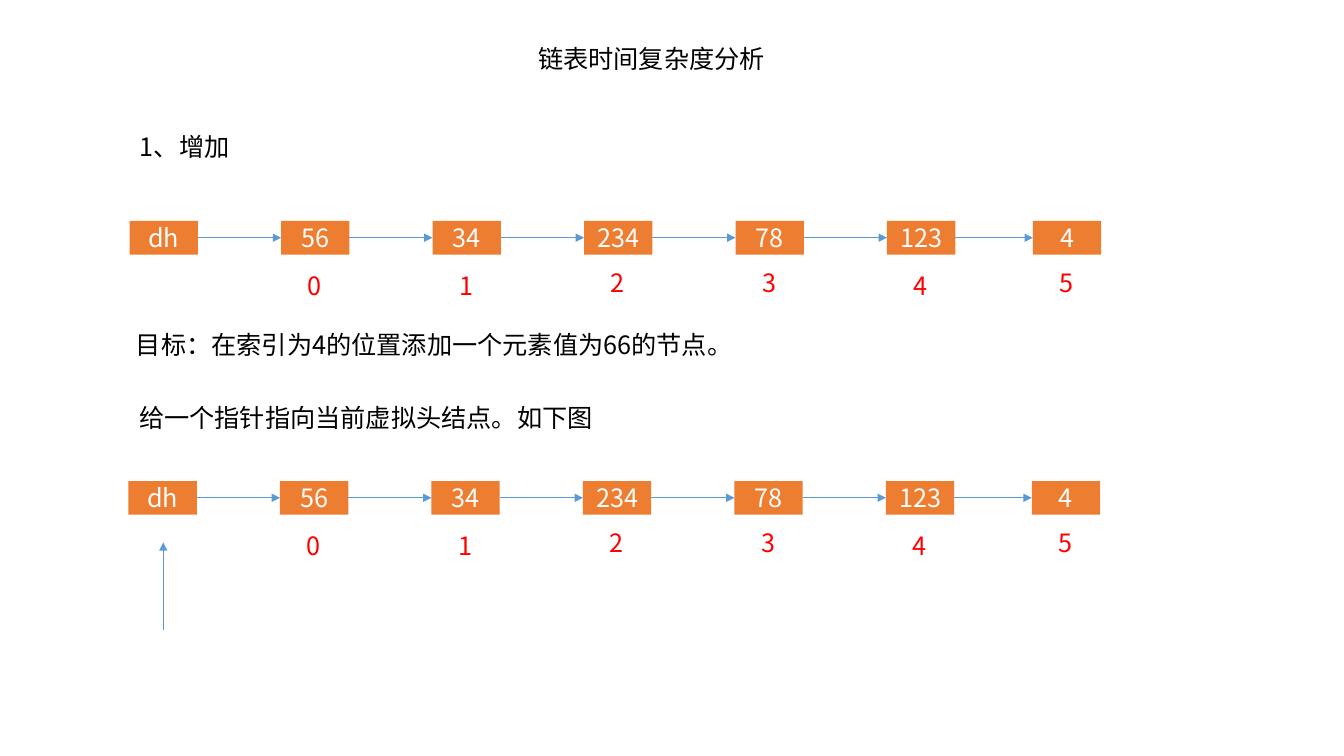
"""Build the slide on linked-list time complexity with python-pptx."""
from dataclasses import dataclass

import lxml.etree
import pptx
import pptx.dml.color
import pptx.enum.shapes
import pptx.enum.text
import pptx.oxml.ns
import pptx.shapes.group
import pptx.util

FONT = "Noto Sans CJK SC"
NODE_W, NODE_H = 48.8, 24
PITCH = 108.2
LABEL_W, TEXT_H = 24.5, 29.1


@dataclass
class Node:
    value: str
    index: str = ""
    label_dy: float = 0
    shift: float = 0


@dataclass
class Caption:
    text: str
    x: float
    y: float
    w: float


NODES = [
    Node("dh"),
    Node("56", "0", 31.8),
    Node("34", "1", 31.8),
    Node("234", "2", 29.5),
    Node("78", "3", 29.5),
    Node("123", "4", 31.8),
    Node("4", "5", 29.5, -4),
]
CAPTIONS = [
    Caption("1、增加", 92.9, 90, 78.5),
    Caption("链表时间复杂度分析", 377.3, 27.4, 177.8),
    Caption("目标：在索引为4的位置添加一个元素值为66的节点。", 90, 231.8, 443.5),
    Caption("给一个指针指向当前虚拟头结点。如下图", 92.2, 283.7, 342),
]


def rgb(color: str) -> pptx.dml.color.RGBColor:
    """Turn a hex string into a colour."""
    return pptx.dml.color.RGBColor.from_string(color)


def write(tf: pptx.text.text.TextFrame, text: str, color: str) -> None:
    """Put one line of styled text into a text frame."""
    tf.word_wrap = True
    p = tf.paragraphs[0]
    p.text = text
    p.font.size = pptx.util.Pt(18)
    p.font.name = FONT
    p.font.color.rgb = rgb(color)
    latin = p._p.pPr.find(".//" + pptx.oxml.ns.qn("a:latin"))
    ea = lxml.etree.Element(pptx.oxml.ns.qn("a:ea"), typeface=FONT)
    latin.addnext(ea)


def add_text(shapes, text: str, x: float, y: float, w: float, color: str) -> None:
    """Add a text box."""
    Pt = pptx.util.Pt
    sp = shapes.add_textbox(Pt(x), Pt(y), Pt(w), Pt(TEXT_H))
    write(sp.text_frame, text, color)


def add_node(shapes, value: str, x: float, y: float) -> None:
    """Add one list node as a filled box."""
    Pt = pptx.util.Pt
    sp = shapes.add_shape(pptx.enum.shapes.MSO_SHAPE.RECTANGLE,
                          Pt(x), Pt(y), Pt(NODE_W), Pt(NODE_H))
    sp.shadow.inherit = False
    sp.fill.solid()
    sp.fill.fore_color.rgb = rgb("ED7D31")
    sp.line.fill.background()
    tf = sp.text_frame
    tf.vertical_anchor = pptx.enum.text.MSO_ANCHOR.MIDDLE
    write(tf, value, "FFFFFF")
    tf.paragraphs[0].alignment = pptx.enum.text.PP_ALIGN.CENTER


def add_arrow(shapes, x1: float, y1: float, x2: float, y2: float) -> None:
    """Add a thin arrow that points at its second end."""
    Pt = pptx.util.Pt
    cxn = shapes.add_connector(pptx.enum.shapes.MSO_CONNECTOR.STRAIGHT,
                               Pt(x1), Pt(y1), Pt(x2), Pt(y2))
    cxn.line.width = Pt(0.5)
    cxn.line.color.rgb = rgb("5B9BD5")
    qn = pptx.oxml.ns.qn
    lxml.etree.SubElement(cxn.line._get_or_add_ln(), qn("a:tailEnd"), type="triangle")
    lxml.etree.SubElement(cxn._element.spPr, qn("a:effectLst"))


def add_chain(s: pptx.slide.Slide, left: float, top: float) -> pptx.shapes.group.GroupShape:
    """Add the linked list with its arrows and red indexes as one group."""
    group = s.shapes.add_group_shape()
    shapes = group.shapes
    xs = [left + i * PITCH + node.shift for i, node in enumerate(NODES)]
    for node, x in zip(NODES, xs):
        add_node(shapes, node.value, x, top)
        if node.index:
            label_x = x + (NODE_W - LABEL_W) / 2
            add_text(shapes, node.index, label_x, top + node.label_dy, LABEL_W, "FF0000")
    middle = top + NODE_H / 2
    for x, following in zip(xs, xs[1:]):
        add_arrow(shapes, x + NODE_W, middle, following, middle)
    return group


def main() -> None:
    """Draw the slide and save it."""
    prs = pptx.Presentation()
    prs.slide_width, prs.slide_height = pptx.util.Pt(960), pptx.util.Pt(540)
    s = prs.slides.add_slide(prs.slide_layouts[6])
    for c in CAPTIONS:
        add_text(s.shapes, c.text, c.x, c.y, c.w, "000000")
    add_chain(s, 92.6, 157.8)
    chain = add_chain(s, 91.8, 343.6)
    add_arrow(chain.shapes, 116.6, 450, 116.6, 387.4)
    prs.save("out.pptx")


if __name__ == "__main__":
    main()
